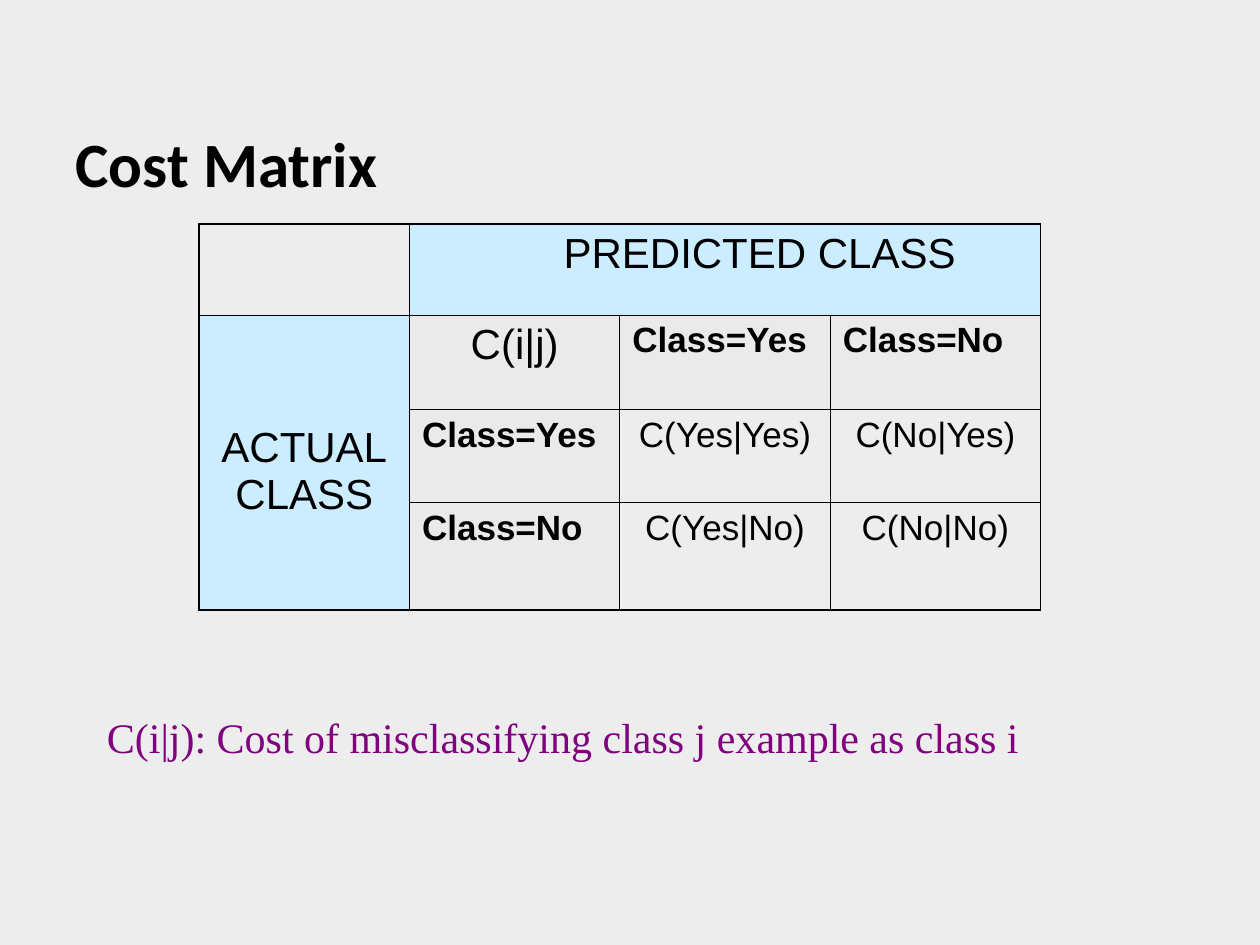
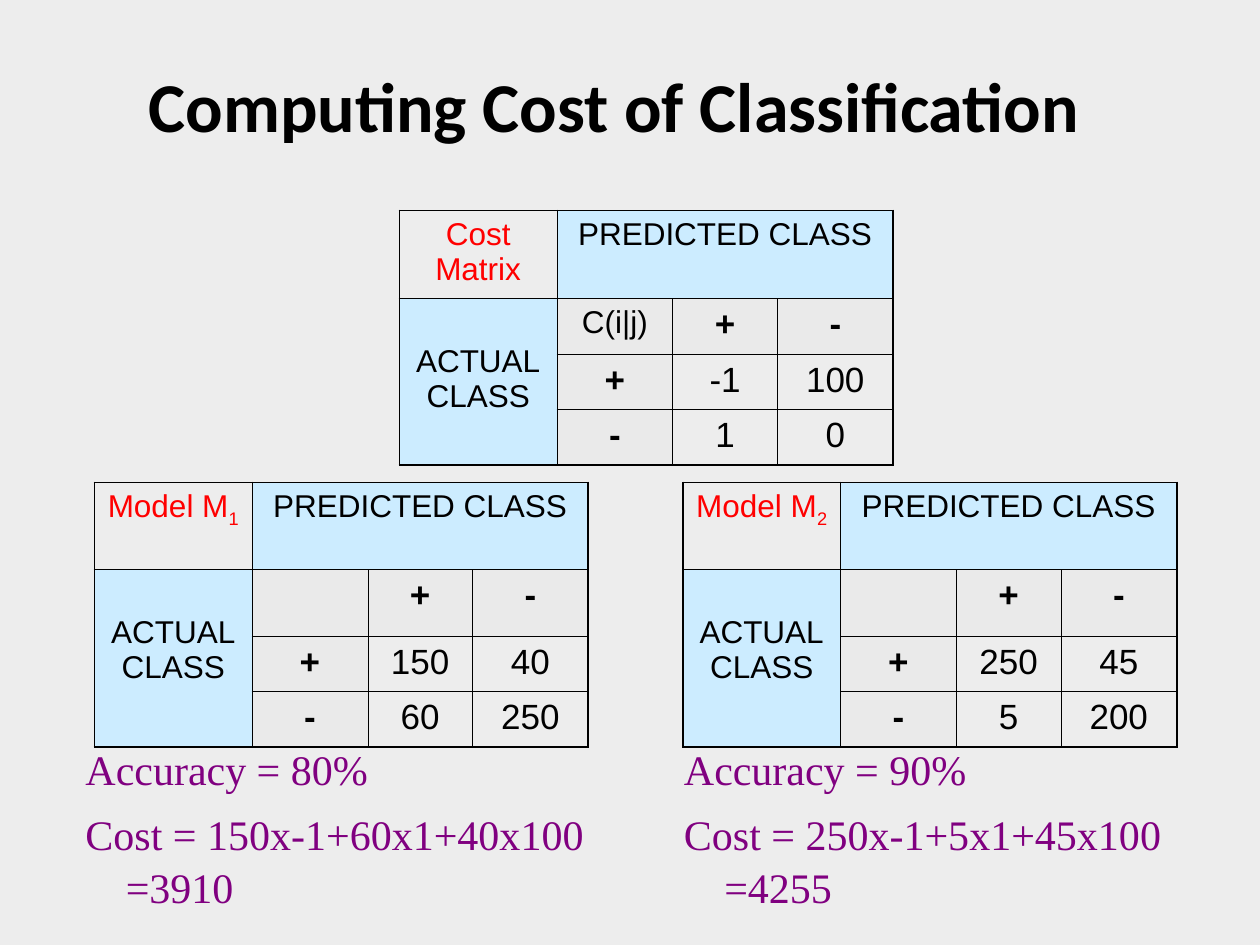
from lxml.etree import SubElement
from pptx import Presentation
from pptx.dml.color import RGBColor
from pptx.enum.text import MSO_ANCHOR, MSO_AUTO_SIZE, PP_ALIGN
from pptx.oxml.ns import qn
from pptx.util import Inches, Pt

BLACK = RGBColor(0x00, 0x00, 0x00)
RED = RGBColor(0xFF, 0x00, 0x00)
PURPLE = RGBColor(0x80, 0x00, 0x80)
PAPER = RGBColor(0xED, 0xED, 0xED)
GREY = RGBColor(0xEA, 0xEA, 0xEA)
BLUE = RGBColor(0xCC, 0xEC, 0xFF)

THIN, THICK = Pt(0.45), Pt(1.08)
WIDTHS = [1.25, 0.92, 0.83, 0.92]


def write(para, text, size=20, font="Arial", color=BLACK, bold=False,
          align=PP_ALIGN.CENTER, sub=""):
    para.alignment = align
    for index, line in enumerate(text.split("\n")):
        if index:
            para.add_line_break()
        para.add_run().text = line
    if sub:
        low = para.add_run()
        low.text = sub
        low.font._element.set("baseline", "-25000")
    for run in para.runs:
        run.font.size = Pt(size)
        run.font.name = font
        run.font.color.rgb = color
        run.font.bold = bold


def edge(cell, side, width):
    line = SubElement(cell._tc.get_or_add_tcPr(), qn(f"a:ln{side}"), w=str(width))
    fill = SubElement(line, qn("a:solidFill"))
    SubElement(fill, qn("a:srgbClr"), val=str(BLACK))


class Deck:
    def __init__(self):
        self.prs = Presentation()
        self.prs.slide_width = Inches(10)
        self.prs.slide_height = Inches(7.5)
        fill = self.prs.slide_master.background.fill
        fill.solid()
        fill.fore_color.rgb = PAPER
        self.slide = None

    def start(self, text, box, size):
        self.slide = self.prs.slides.add_slide(self.prs.slide_layouts[5])
        title = self.slide.shapes.title
        title.left, title.top, title.width, title.height = map(Inches, box)
        frame = title.text_frame
        frame.auto_size = MSO_AUTO_SIZE.NONE
        frame.vertical_anchor = MSO_ANCHOR.BOTTOM
        write(frame.paragraphs[0], text, size=size, font="Calibri", bold=True,
              align=PP_ALIGN.LEFT)

    def notes(self, lines, box):
        frame = self.slide.shapes.add_textbox(*map(Inches, box)).text_frame
        frame.word_wrap = True
        for index, line in enumerate(lines):
            para = frame.add_paragraph() if index else frame.paragraphs[0]
            props = para._p.get_or_add_pPr()
            props.set("marL", str(Inches(0.32)))
            props.set("indent", str(Inches(-0.32)))
            para.line_spacing = 1.05
            para.space_after = Pt(4)
            if index:
                para.space_before = Pt(3)
            write(para, line, size=24, font="Times New Roman", color=PURPLE,
                  align=PP_ALIGN.LEFT)

    def matrix(self, left, top, widths, heights, signs, costs, name="", sub="",
               mark="", size=18, align=PP_ALIGN.CENTER, shift=0.1, drop=0.36):
        frame = self.slide.shapes.add_table(
            4, 4, Inches(left), Inches(top), Inches(sum(widths)), Inches(sum(heights)))
        table = frame.table
        table.first_row = table.horz_banding = False
        for column, width in zip(table.columns, widths):
            column.width = Inches(width)
        for row, height in zip(table.rows, heights):
            row.height = Inches(height)

        head, side = table.cell(0, 1), table.cell(1, 0)
        head.merge(table.cell(0, 3))
        side.merge(table.cell(3, 0))
        head.margin_left = Inches(shift)
        side.margin_top = Inches(drop)
        self.frame(table)

        def put(row, col, text, **style):
            write(table.cell(row, col).text_frame.paragraphs[0], text, **style)

        if name:
            put(0, 0, name, size=size, color=RED, sub=sub)
        put(0, 1, "PREDICTED CLASS", size=size)
        put(1, 0, "ACTUAL\nCLASS", size=size)
        if mark:
            put(1, 1, mark, size=size)
        for i, sign in enumerate(signs, 2):
            put(1, i, sign, bold=True, align=align)
            put(i, 1, sign, bold=True, align=align)
            for j, cost in enumerate(costs[i - 2], 2):
                put(i, j, cost)

    def frame(self, table):
        for r in range(4):
            for c in range(4):
                cell = table.cell(r, c)
                outer = {"L": c == 0, "R": c + cell.span_width == 4,
                         "T": r == 0, "B": r + cell.span_height == 4}
                if cell.is_spanned:
                    outer.update(R=c == 3, B=r == 3)
                for key, rim in outer.items():
                    if rim or not cell.is_spanned:
                        edge(cell, key, THICK if rim else THIN)
                if r == c == 0 or min(r, c) > 1:
                    cell.fill.background()
                else:
                    cell.fill.solid()
                    cell.fill.fore_color.rgb = GREY if min(r, c) else BLUE


def main():
    deck = Deck()

    deck.start("Cost Matrix", (0.5, 0.39, 9, 1.25), 36)
    deck.matrix(1.58, 1.78, [1.67] * 4, [0.72, 0.75, 0.74, 0.85],
                ["Class=Yes", "Class=No"],
                [["C(Yes|Yes)", "C(No|Yes)"], ["C(Yes|No)", "C(No|No)"]],
                mark="C(i|j)", size=24, align=PP_ALIGN.LEFT, shift=0.65, drop=0.87)
    deck.notes(["C(i|j): Cost of misclassifying class j example as class i"],
               (0.75, 5.58, 8.58, 1))

    deck.start("Computing Cost of Classification", (1.08, 0.25, 8.25, 0.96), 40)
    deck.matrix(3.17, 1.67, WIDTHS, [0.7, 0.44, 0.44, 0.44], "+-",
                [["-1", "100"], ["1", "0"]], name="Cost Matrix", mark="C(i|j)")
    models = [
        (0.75, 0.58, 4.58, [["150", "40"], ["60", "250"]],
         ["Accuracy = 80%", "Cost = 150x-1+60x1+40x100 =3910"]),
        (5.42, 5.33, 4.67, [["250", "45"], ["5", "200"]],
         ["Accuracy = 90%", "Cost = 250x-1+5x1+45x100 =4255"]),
    ]
    for number, (left, edge_x, width, costs, lines) in enumerate(models, 1):
        deck.matrix(left, 3.83, WIDTHS, [0.69, 0.53, 0.44, 0.44], "+-", costs,
                    name="Model M", sub=str(number))
        deck.notes(lines, (edge_x, 5.83, width, 1.08))

    deck.prs.save("out.pptx")


if __name__ == "__main__":
    main()
